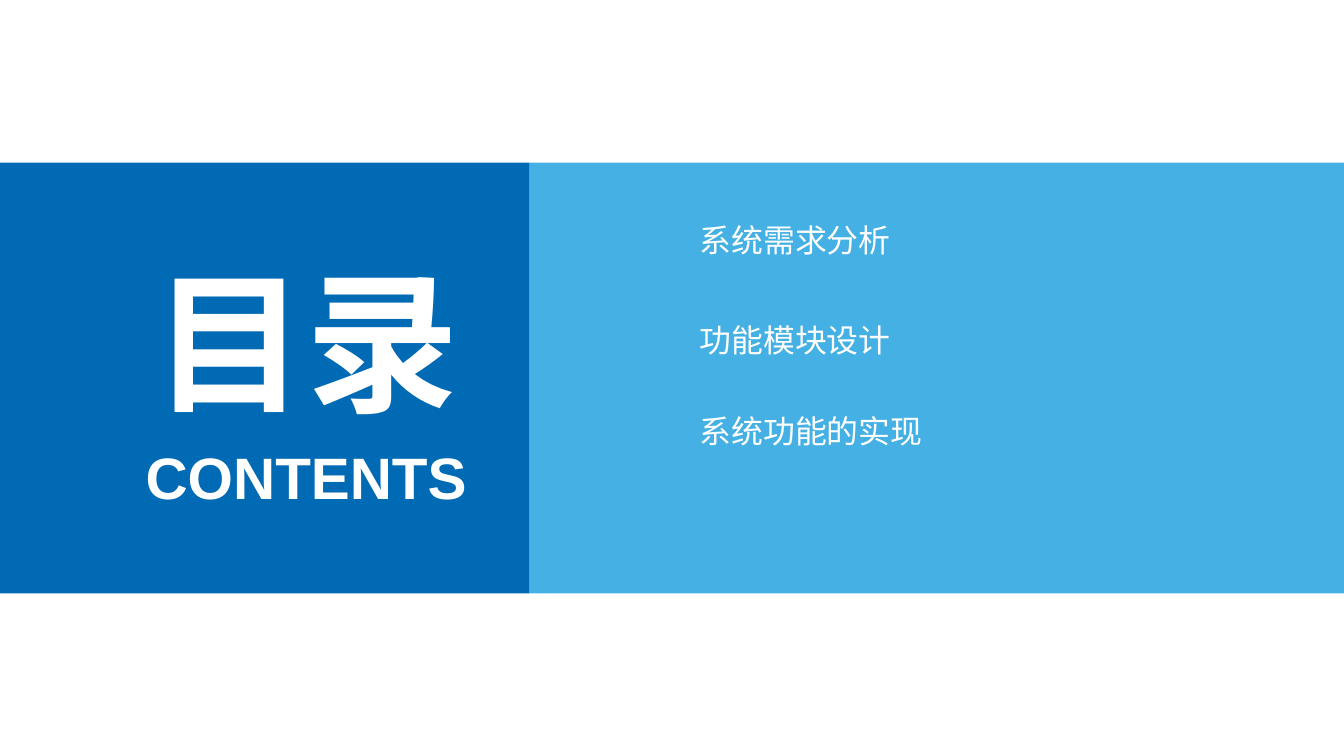
from dataclasses import dataclass

import pptx
import pptx.dml.color
import pptx.enum.shapes
import pptx.enum.text
import pptx.oxml.ns
import pptx.shapes.autoshape
import pptx.slide
import pptx.util
from lxml import etree

Align = pptx.enum.text.PP_ALIGN
Anchor = pptx.enum.text.MSO_ANCHOR


@dataclass(frozen=True)
class Theme:
    title_panel: str = "006AB5"
    list_panel: str = "31A8E1"
    text: str = "FFFFFF"
    font: str = "Arial"
    title_size: float = 115
    subtitle_size: float = 44
    item_size: float = 24


@dataclass(frozen=True)
class Panel:
    left: float
    width: float
    color: str
    opacity: int = 100


@dataclass(frozen=True)
class Label:
    text: str
    left: float
    top: float
    width: float
    height: float
    size: float
    bold: bool = False
    align: Align = Align.LEFT
    anchor: Anchor = Anchor.MIDDLE
    margin_bottom: float = 0


THEME = Theme()
SLIDE_WIDTH, SLIDE_HEIGHT = 1012.5, 569.5
BAND_TOP, BAND_HEIGHT = 122.6, 324.5
SPLIT = 398.6
ITEM_LEFT, ITEM_WIDTH, ITEM_HEIGHT = 527, 194.4, 28.8

PANELS = [
    Panel(SPLIT, SLIDE_WIDTH - SPLIT, THEME.list_panel, opacity=90),
    Panel(0, SPLIT, THEME.title_panel),
]
HEADINGS = [
    Label("目录", 109.4, 185.8, 242.6, 139.7, THEME.title_size, True, Align.CENTER),
    Label("CONTENTS", 100.8, 332.6, 259.9, 53.3, THEME.subtitle_size, True,
          Align.CENTER, Anchor.TOP),
]
ITEMS = [
    Label(text, ITEM_LEFT, top, ITEM_WIDTH, ITEM_HEIGHT + gap_below,
          THEME.item_size, margin_bottom=gap_below)
    for text, top, gap_below in (
        ("系统需求分析", 166.3, 13.7),
        ("功能模块设计", 241.2, 0),
        ("系统功能的实现", 310.1, 0),
    )
]


def rgb(color: str) -> pptx.dml.color.RGBColor:
    return pptx.dml.color.RGBColor.from_string(color)


def add_panel(slide: pptx.slide.Slide, panel: Panel) -> None:
    shape = slide.shapes.add_shape(
        pptx.enum.shapes.MSO_SHAPE.RECTANGLE,
        pptx.util.Pt(panel.left), pptx.util.Pt(BAND_TOP),
        pptx.util.Pt(panel.width), pptx.util.Pt(BAND_HEIGHT),
    )
    shape.shadow.inherit = False
    shape.line.fill.background()
    shape.fill.solid()
    shape.fill.fore_color.rgb = rgb(panel.color)
    if panel.opacity < 100:
        color = shape.element.spPr.find(".//" + pptx.oxml.ns.qn("a:srgbClr"))
        alpha = etree.SubElement(color, pptx.oxml.ns.qn("a:alpha"))
        alpha.set("val", str(panel.opacity * 1000))


def write_label(shape: pptx.shapes.autoshape.Shape, label: Label) -> None:
    frame = shape.text_frame
    frame.margin_left = frame.margin_right = frame.margin_top = pptx.util.Pt(0)
    frame.margin_bottom = pptx.util.Pt(label.margin_bottom)
    frame.word_wrap = True
    frame.auto_size = pptx.enum.text.MSO_AUTO_SIZE.SHAPE_TO_FIT_TEXT
    frame.vertical_anchor = label.anchor
    paragraph = frame.paragraphs[0]
    paragraph.text = label.text
    paragraph.alignment = label.align
    paragraph.font.name = THEME.font
    paragraph.font.size = pptx.util.Pt(label.size)
    paragraph.font.bold = label.bold
    paragraph.font.color.rgb = rgb(THEME.text)


def add_heading(slide: pptx.slide.Slide, label: Label) -> None:
    shape = slide.shapes.add_textbox(
        pptx.util.Pt(label.left), pptx.util.Pt(label.top),
        pptx.util.Pt(label.width), pptx.util.Pt(label.height),
    )
    write_label(shape, label)


def add_item(slide: pptx.slide.Slide, label: Label) -> None:
    left, top = pptx.util.Pt(label.left), pptx.util.Pt(label.top)
    right = left + pptx.util.Pt(label.width)
    bottom = top + pptx.util.Pt(label.height)
    builder = slide.shapes.build_freeform(left, top)
    builder.add_line_segments([(right, top), (right, bottom), (left, bottom)])
    shape = builder.convert_to_shape()
    shape.shadow.inherit = False
    shape.fill.background()
    shape.line.fill.background()
    write_label(shape, label)


def main() -> None:
    presentation = pptx.Presentation()
    presentation.slide_width = pptx.util.Pt(SLIDE_WIDTH)
    presentation.slide_height = pptx.util.Pt(SLIDE_HEIGHT)
    slide = presentation.slides.add_slide(presentation.slide_layouts[6])
    for panel in PANELS:
        add_panel(slide, panel)
    for heading in HEADINGS:
        add_heading(slide, heading)
    for item in ITEMS:
        add_item(slide, item)
    presentation.save("out.pptx")


if __name__ == "__main__":
    main()
